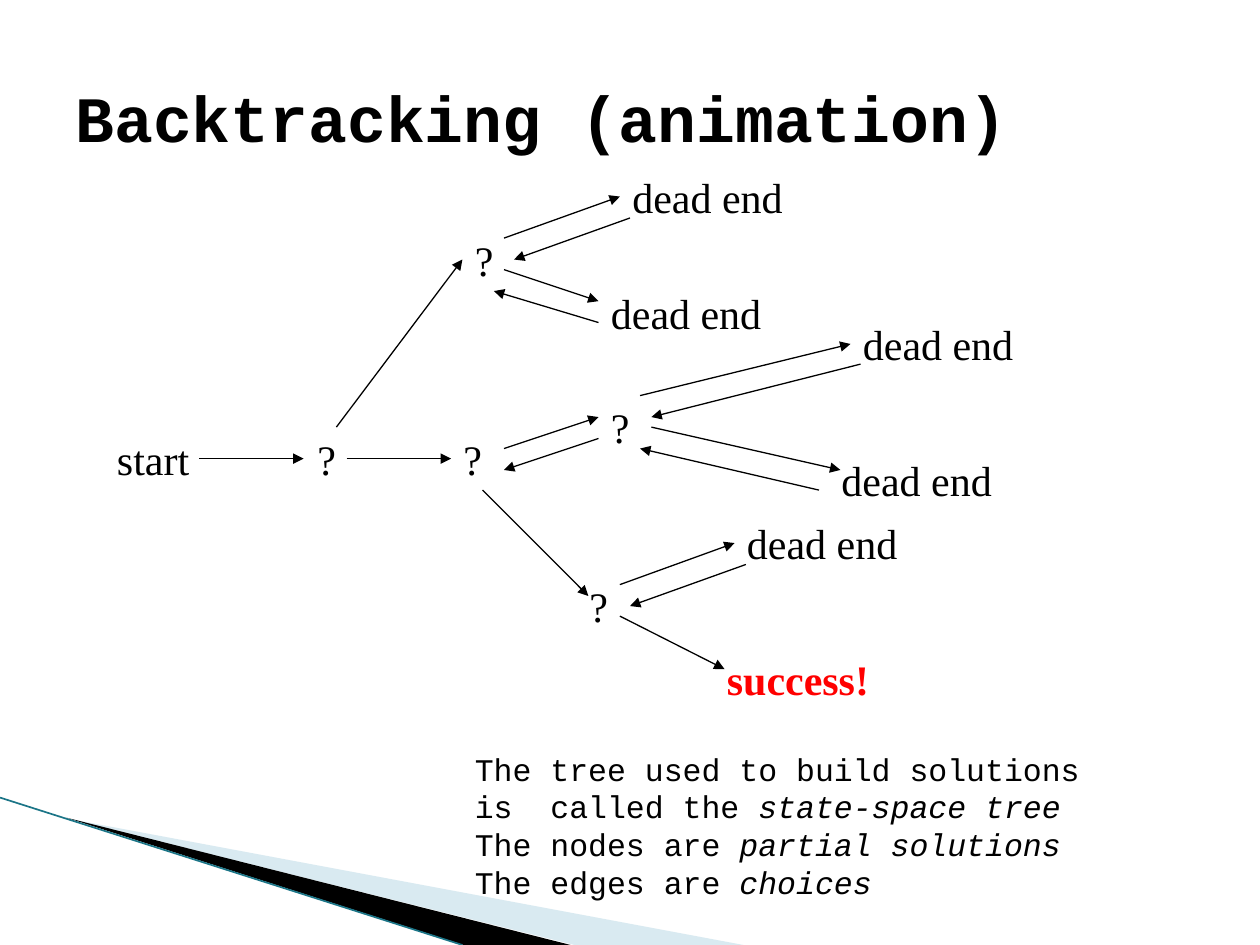
from lxml import etree
from pptx import Presentation
from pptx.dml.color import RGBColor
from pptx.enum.shapes import MSO_CONNECTOR
from pptx.enum.text import MSO_ANCHOR, PP_ALIGN
from pptx.oxml.ns import qn
from pptx.util import Inches, Pt

COLORS = {"ink": "000000", "success": "FF0000", "pale": "A0CBDC", "teal": "1B7587"}
SERIF, MONO = "Times New Roman", "Courier New"

TITLE = "Backtracking (animation)"

# text, left, top, width
NODES = [
    ("start", 0.83, 3.39, 0.83),
    ("?", 2.42, 3.39, 0.5),
    ("?", 3.67, 1.81, 0.42),
    ("dead end", 4.75, 2.23, 1.75),
    ("dead end", 4.92, 1.31, 1.75),
    ("?", 3.58, 3.39, 0.5),
    ("?", 4.75, 3.14, 0.5),
    ("dead end", 6.58, 3.56, 1.75),
    ("dead end", 6.75, 2.48, 1.75),
    ("?", 4.58, 4.56, 0.5),
    ("success!", 5.67, 5.14, 1.75),
    ("dead end", 5.83, 4.06, 1.75),
]

# from x, from y, to x, to y
FORWARD = [
    (1.58, 3.64, 2.41, 3.64),
    (2.67, 3.39, 3.67, 2.06),
    (2.75, 3.64, 3.58, 3.64),
    (4, 1.89, 4.92, 1.56),
    (4, 2.14, 4.75, 2.39),
    (4, 3.56, 4.75, 3.31),
    (5.08, 3.14, 6.75, 2.73),
    (5.17, 3.39, 6.67, 3.73),
    (3.83, 3.89, 4.67, 4.73),
    (4.92, 4.64, 5.83, 4.31),
    (4.92, 4.89, 5.75, 5.31),
]
BACK = [
    (5, 1.73, 4.08, 2.06),
    (4.75, 2.56, 3.92, 2.31),
    (6.83, 2.89, 5.17, 3.31),
    (6.5, 3.89, 5.08, 3.56),
    (4.75, 3.48, 4, 3.73),
    (5.92, 4.48, 5, 4.81),
]

# plain text, italic text
NOTES = [
    ("The tree used to build solutions is  called the ", "state-space tree"),
    ("The nodes are ", "partial solutions"),
    ("The edges are ", "choices"),
]

# points, colour, opacity in percent
WEDGES = [
    ([(0.55, 6.5), (5.9, 7.5), (4.56, 7.5)], "pale", 40),
    ([(0.53, 6.49), (4.53, 7.5), (3.68, 7.5)], "ink", 100),
]
EDGE = (0, 6.33, 3.67, 7.5)


def rgb(name):
    return RGBColor.from_string(COLORS[name])


def set_font(r, name, size, color="ink", bold=False, italic=False):
    f = r.font
    f.name, f.size, f.bold, f.italic = name, Pt(size), bold, italic
    f.color.rgb = rgb(color)


def add_wedge(slide, points, color, opacity):
    pts = [(Inches(x), Inches(y)) for x, y in points]
    fb = slide.shapes.build_freeform(*pts[0])
    fb.add_line_segments(pts[1:], close=True)
    sp = fb.convert_to_shape()
    sp.shadow.inherit = False
    sp.fill.solid()
    sp.fill.fore_color.rgb = rgb(color)
    sp.line.fill.background()
    if opacity < 100:
        clr = sp.fill._xPr.find(".//" + qn("a:srgbClr"))
        etree.SubElement(clr, qn("a:alpha")).set("val", str(opacity * 1000))


def add_line(slide, ends, color="ink", width=0.75, arrow=True):
    line = slide.shapes.add_connector(MSO_CONNECTOR.STRAIGHT, *map(Inches, ends))
    line.line.color.rgb = rgb(color)
    line.line.width = Pt(width)
    if arrow:
        etree.SubElement(line.line._get_or_add_ln(), qn("a:tailEnd")).set("type", "triangle")
    etree.SubElement(line._element.spPr, qn("a:effectLst"))


def add_text(slide, left, top, width, height):
    tf = slide.shapes.add_textbox(*map(Inches, (left, top, width, height))).text_frame
    tf.word_wrap = True
    return tf


def add_node(slide, text, left, top, width):
    tf = add_text(slide, left, top, width, 0.5)
    tf.text = text
    success = text == "success!"
    set_font(tf.paragraphs[0].runs[0], SERIF, 24, "success" if success else "ink", bold=success)


def add_title(slide):
    title = slide.shapes.title
    title.left, title.top, title.width, title.height = map(Inches, (0.5, 0.3, 9, 1.25))
    tf = title.text_frame
    tf.text = TITLE
    tf.vertical_anchor = MSO_ANCHOR.MIDDLE
    p = tf.paragraphs[0]
    p.alignment = PP_ALIGN.LEFT
    set_font(p.runs[0], MONO, 37, bold=True)


def add_notes(slide):
    tf = add_text(slide, 3.67, 5.9, 5, 1.31)
    for i, (plain, term) in enumerate(NOTES):
        p = tf.add_paragraph() if i else tf.paragraphs[0]
        for text, italic in ((plain, False), (term, True)):
            r = p.add_run()
            r.text = text
            set_font(r, MONO, 18, italic=italic)


def main():
    prs = Presentation()
    prs.slide_width, prs.slide_height = Inches(10), Inches(7.5)
    slide = prs.slides.add_slide(prs.slide_layouts[5])
    for wedge in WEDGES:
        add_wedge(slide, *wedge)
    add_line(slide, EDGE, "teal", 0.95, arrow=False)
    add_title(slide)
    for node in NODES:
        add_node(slide, *node)
    for ends in FORWARD + BACK:
        add_line(slide, ends)
    add_notes(slide)
    prs.save("out.pptx")


if __name__ == "__main__":
    main()
